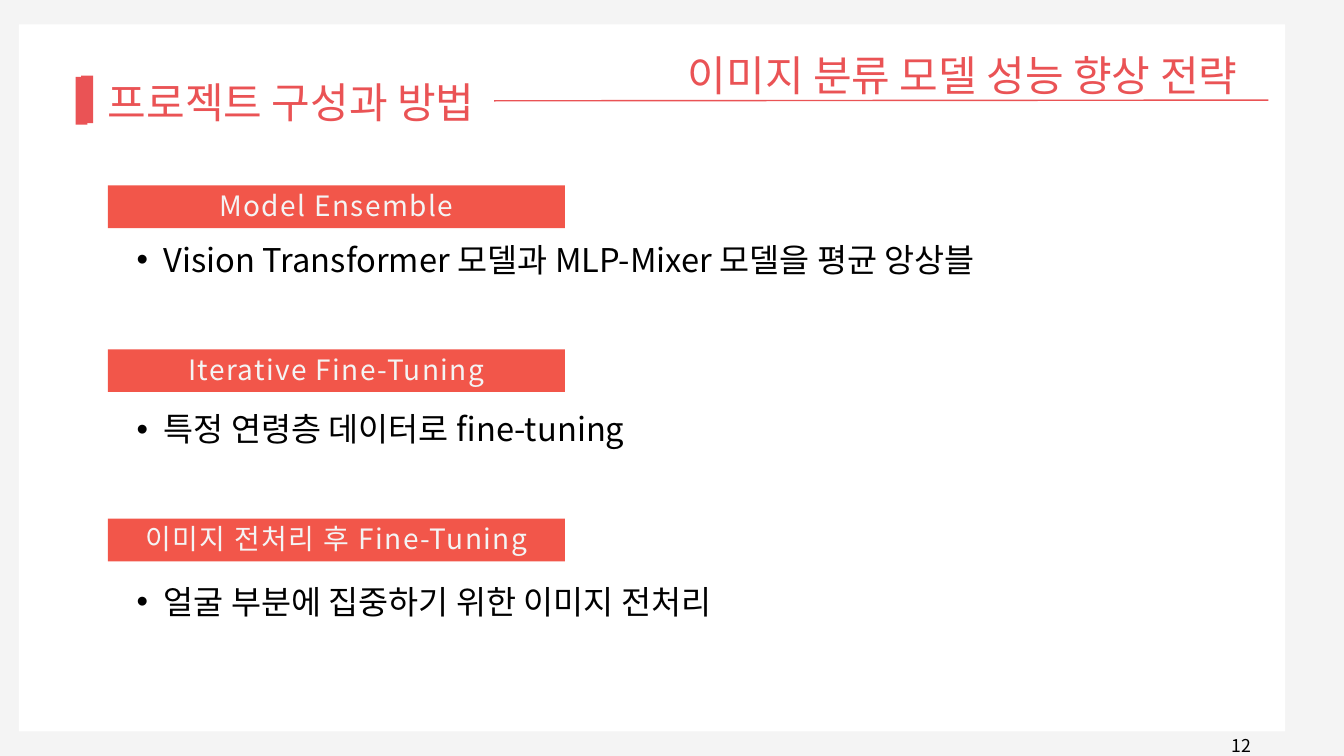
import pptx
import pptx.dml.color
import pptx.enum.shapes
import pptx.enum.text
import pptx.oxml.ns
import pptx.util
from lxml import etree

PIXEL = 9525
FONT = "Noto Sans CJK KR"
COLORS = {
    "background": "F4F4F4",
    "panel": "FFFFFF",
    "tag": "F2564A",
    "accent": "EA5355",
    "text": "000000",
}
LEFT = pptx.enum.text.PP_ALIGN.LEFT
CENTER = pptx.enum.text.PP_ALIGN.CENTER
TOP = pptx.enum.text.MSO_ANCHOR.TOP
MIDDLE = pptx.enum.text.MSO_ANCHOR.MIDDLE

SECTIONS = [
    (265, 73, "Model Ensemble",
     "Vision Transformer 모델과 MLP-Mixer 모델을 평균 앙상블", FONT),
    (499, 81, "Iterative Fine-Tuning",
     "특정 연령층 데이터로 fine-tuning", FONT),
    (741, 85, "이미지 전처리 후 Fine-Tuning",
     "얼굴 부분에 집중하기 위한 이미지 전처리", "Calibri"),
]


def px(value):
    return pptx.util.Emu(value * PIXEL)


def color(name):
    return pptx.dml.color.RGBColor.from_string(COLORS[name])


def add_child(parent, tag, **attributes):
    return etree.SubElement(parent, pptx.oxml.ns.qn(tag), attributes)


def add_rectangle(slide, box, fill):
    shape = slide.shapes.add_shape(
        pptx.enum.shapes.MSO_SHAPE.RECTANGLE, *map(px, box))
    shape.shadow.inherit = False
    shape.fill.solid()
    shape.fill.fore_color.rgb = color(fill)
    shape.line.fill.background()


def add_text(slide, box, text, size, line_spacing, fill="text", font=FONT,
             align=LEFT, anchor=TOP, margin=0, tracking=0, bullet=False):
    text_frame = slide.shapes.add_textbox(*map(px, box)).text_frame
    text_frame.word_wrap = True
    text_frame.vertical_anchor = anchor
    text_frame.margin_left = text_frame.margin_right = px(margin)
    text_frame.margin_top = text_frame.margin_bottom = px(margin)
    text_frame.text = text
    paragraph = text_frame.paragraphs[0]
    paragraph.alignment = align
    paragraph.line_spacing = pptx.util.Pt(line_spacing)
    if bullet:
        paragraph.level = 1
        properties = paragraph._p.get_or_add_pPr()
        properties.set("marL", str(px(80)))
        properties.set("indent", str(px(-39)))
        add_child(properties, "a:buFont", typeface="Arial")
        add_child(properties, "a:buChar", char="•")
    run = paragraph.runs[0]
    run.font.size = pptx.util.Pt(size)
    run.font.color.rgb = color(fill)
    run.font.name = font
    properties = run._r.get_or_add_rPr()
    add_child(properties, "a:ea", typeface=FONT)
    if tracking:
        properties.set("spc", str(tracking))


def add_header(slide, left, top, width):
    for offset_x, offset_y in ((0, 2), (8, 0)):
        add_rectangle(slide, (left + offset_x, top + offset_y, 17, 68), "accent")
    add_text(slide, (left + 46, top - 5, 551, 77), "프로젝트 구성과 방법",
             45, 58.5, "accent", "Calibri")
    add_text(slide, (left + 868, top - 43, 798, 77), "이미지 분류 모델 성능 향상 전략",
             45, 58.5, "accent", "Calibri", CENTER)
    connector = slide.shapes.add_connector(
        pptx.enum.shapes.MSO_CONNECTOR.STRAIGHT,
        px(left + 598), px(top + 36), px(left + width), px(top + 35))
    connector.line.color.rgb = color("accent")
    connector.line.width = pptx.util.Pt(1.5)
    add_child(connector._element.spPr, "a:effectLst")


def add_section(slide, left, top, width, body_offset, label, body, font):
    add_rectangle(slide, (left, top, 653, 61), "tag")
    add_text(slide, (left, top - 4, 653, 65), label, 30, 36, "background",
             align=CENTER, anchor=MIDDLE, margin=6, tracking=150)
    add_text(slide, (left, top + body_offset, width, 120), body, 35, 45.4,
             font=font, bullet=True)


def main():
    presentation = pptx.Presentation()
    presentation.slide_width = px(1920)
    presentation.slide_height = px(1080)
    slide = presentation.slides.add_slide(presentation.slide_layouts[6])
    slide.background.fill.solid()
    slide.background.fill.fore_color.rgb = color("background")

    add_rectangle(slide, (27, 35, 1809, 1010), "panel")
    add_header(slide, 108, 108, 1704)
    for top, body_offset, label, body, font in SECTIONS:
        add_section(slide, 154, top, 1538, body_offset, label, body, font)
    add_text(slide, (1627, 1045, 293, 35), "12", 18.9, 26.5, align=CENTER)
    presentation.save("out.pptx")


if __name__ == "__main__":
    main()
